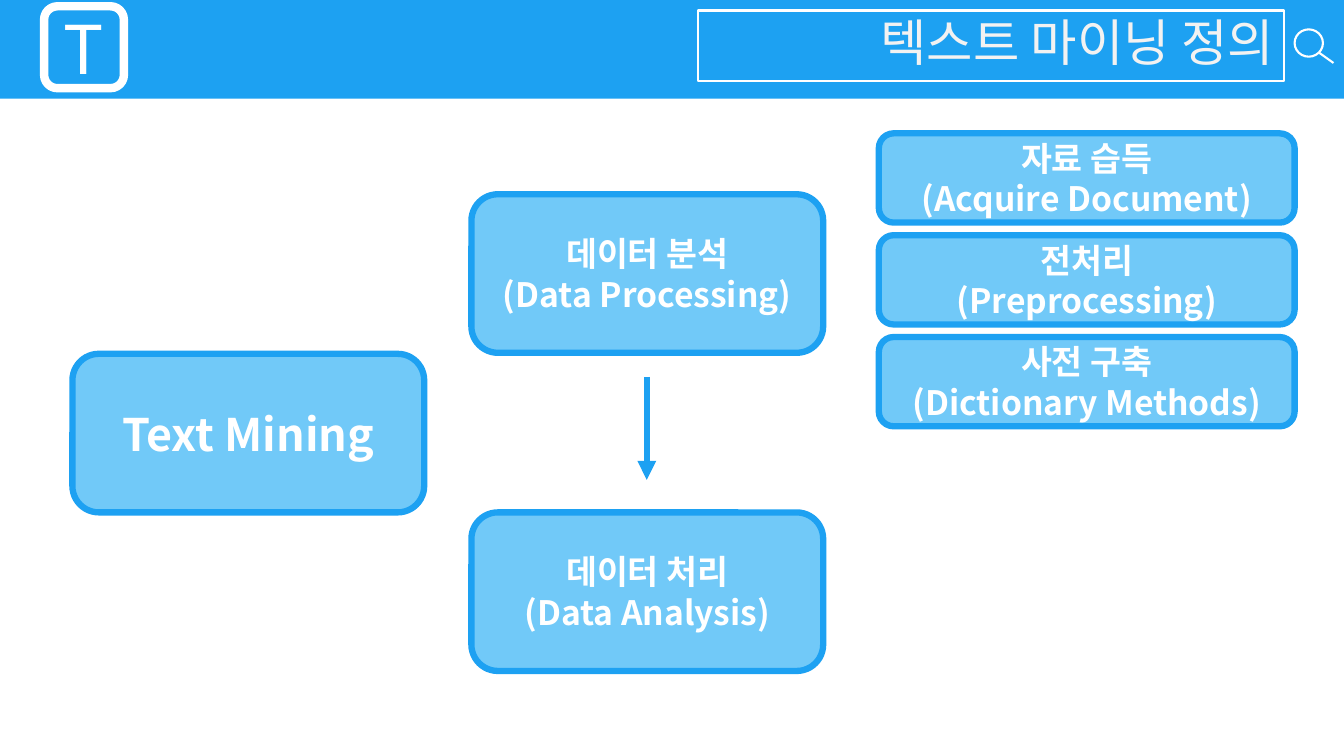
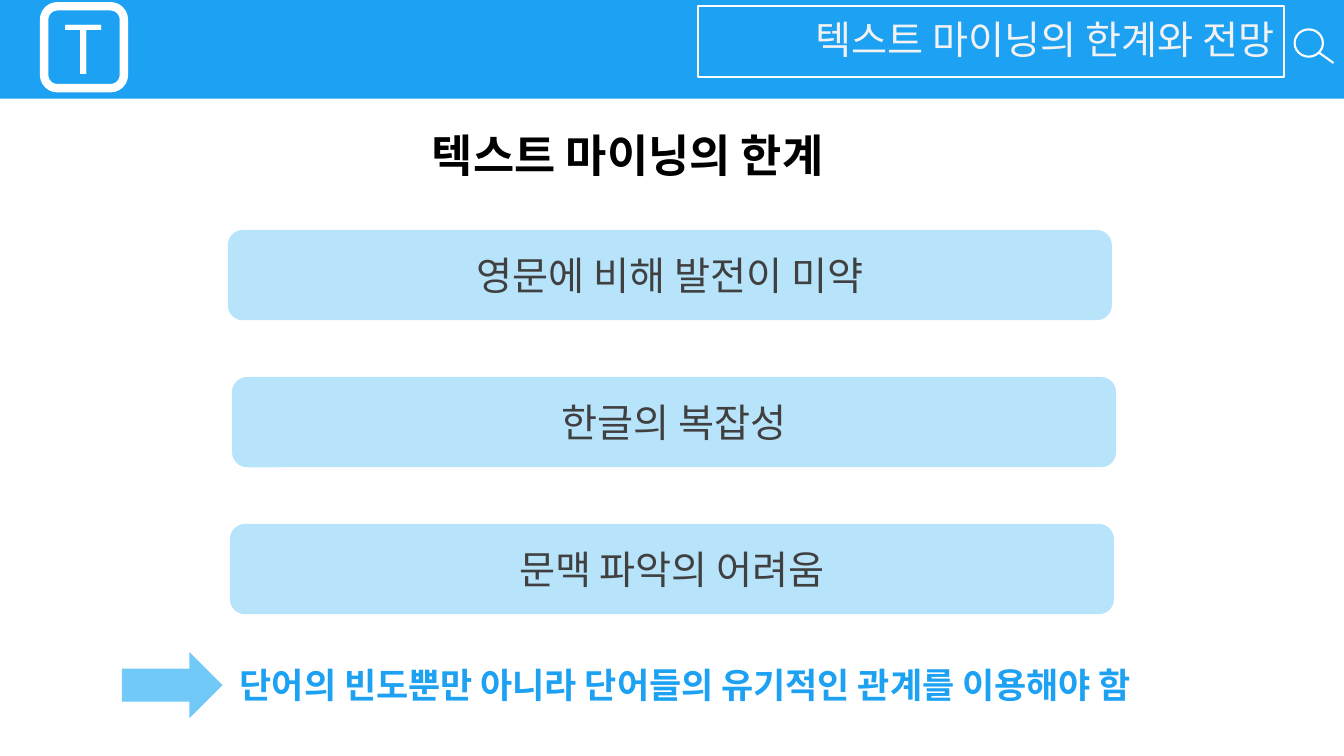
from lxml.etree import SubElement
from pptx import Presentation
from pptx.dml.color import RGBColor
from pptx.enum.shapes import MSO_CONNECTOR, MSO_SHAPE
from pptx.enum.text import MSO_ANCHOR, MSO_AUTO_SIZE, PP_ALIGN
from pptx.oxml.ns import qn
from pptx.util import Emu, Pt

EMU_PER_PX = 9525
SLIDE_WIDTH, SLIDE_HEIGHT = 1280, 720
COLORS = {
    "blue": "1DA1F2",
    "sky": "71C9F8",
    "white": "FFFFFF",
    "title": "F2F2F2",
    "dark": "404040",
    "black": "000000",
}
FONT = "Noto Sans CJK KR"
BADGE_FONT = "Noto Sans CJK JP"
TITLE_ONLY = 5


def px(*lengths):
    return [Emu(length * EMU_PER_PX) for length in lengths]


def rgb(name):
    return RGBColor.from_string(COLORS[name])


# Text and lines
def write(frame, text, size, color, bold=False, align=PP_ALIGN.CENTER, font=FONT, spacing=None):
    frame.text = text
    for para in frame.paragraphs:
        para.alignment = align
        para.line_spacing = spacing
        for span in para.runs:
            span.font.size = Pt(size)
            span.font.bold = bold
            span.font.color.rgb = rgb(color)
            span.font.name = font
            properties = span.font._element
            SubElement(properties, qn("a:ea")).set("typeface", font)


def set_line(line, color, width):
    line.color.rgb = rgb(color)
    line.width = Pt(width)


# Kinds of element
def add_box(shapes, kind, place, fill=None, line=None, opacity=100):
    box = shapes.add_shape(kind, *px(*place))
    box.shadow.inherit = False
    if fill:
        box.fill.solid()
        box.fill.fore_color.rgb = rgb(fill)
        if opacity < 100:
            color = box.element.spPr.find(".//" + qn("a:srgbClr"))
            SubElement(color, qn("a:alpha")).set("val", str(opacity * 1000))
    else:
        box.fill.background()
    if line:
        set_line(box.line, *line)
    else:
        box.line.fill.background()
    box.text_frame.vertical_anchor = MSO_ANCHOR.MIDDLE
    return box


def add_line(shapes, start, end, color, width, arrow=False):
    connector = shapes.add_connector(MSO_CONNECTOR.STRAIGHT, *px(*start, *end))
    set_line(connector.line, color, width)
    properties = connector.element.spPr
    if arrow:
        SubElement(properties.find(qn("a:ln")), qn("a:tailEnd")).set("type", "triangle")
    SubElement(properties, qn("a:effectLst"))
    return connector


def add_label(slide, place, text, size, color, wrap=True):
    label = slide.shapes.add_textbox(*px(*place))
    label.text_frame.word_wrap = wrap
    write(label.text_frame, text, size, color, bold=True, align=PP_ALIGN.LEFT)


def add_node(slide, place, text, size=24):
    node = add_box(slide.shapes, MSO_SHAPE.ROUNDED_RECTANGLE, place, "sky", ("blue", 4.5))
    write(node.text_frame, text, size, "white", bold=True)


# Shared header, kept on the layout
def build_header(slide, layout):
    for placeholder in list(layout.placeholders)[1:]:
        layout.shapes.element.remove(placeholder.element)

    band = add_box(slide.shapes, MSO_SHAPE.RECTANGLE, (0, 0, SLIDE_WIDTH, 94), "blue")
    magnifier = slide.shapes.add_group_shape()
    add_box(magnifier.shapes, MSO_SHAPE.OVAL, (1233, 28, 27, 26), line=("white", 1.5))
    add_line(magnifier.shapes, (1256, 50), (1270, 60), "white", 1.5)
    badge = add_box(slide.shapes, MSO_SHAPE.ROUNDED_RECTANGLE, (42, 6, 76, 78), line=("white", 6))
    write(badge.text_frame, "T", 48, "white", font=BADGE_FONT)

    for part in (band, magnifier, badge):
        layout.shapes.element.append(part.element)


def set_title(slide, text, size, top):
    title = slide.shapes.title
    title.left, title.top, title.width, title.height = px(665, top, 558, 67)
    set_line(title.line, "white", 1.5)
    title.text_frame.vertical_anchor = MSO_ANCHOR.MIDDLE
    title.text_frame.auto_size = MSO_AUTO_SIZE.NONE
    write(title.text_frame, text, size, "title", align=PP_ALIGN.RIGHT, spacing=0.9)


# Slides
def build_definition(slide):
    set_title(slide, "텍스트 마이닝 정의", 36, top=10)

    node_size = (335, 151)
    add_node(slide, (69, 337, *node_size), "Text Mining", 32)
    add_node(slide, (449, 185, *node_size), "데이터 분석\n(Data Processing)")
    add_node(slide, (449, 488, *node_size), "데이터 처리\n(Data Analysis)")

    steps = [
        "자료 습득\n(Acquire Document)",
        "전처리\n(Preprocessing)",
        "사전 구축\n(Dictionary Methods)",
    ]
    for index, step in enumerate(steps):
        add_node(slide, (837, 127 + 97 * index, 396, 85), step)

    add_line(slide.shapes, (616, 359), (616, 457), "blue", 4.5, arrow=True)


def build_limits(slide):
    set_title(slide, "텍스트 마이닝의 한계와 전망", 28, top=6)
    add_label(slide, (402, 117, 459, 61), "텍스트 마이닝의 한계", 32, "black")

    limits = [
        (217, "영문에 비해 발전이 미약"),
        (221, "한글의 복잡성"),
        (219, "문맥 파악의 어려움"),
    ]
    for index, (left, limit) in enumerate(limits):
        place = (left, 219 + 140 * index, 842, 86)
        bar = add_box(slide.shapes, MSO_SHAPE.FLOWCHART_ALTERNATE_PROCESS, place, "sky", opacity=50)
        write(bar.text_frame, limit, 28, "dark")

    add_box(slide.shapes, MSO_SHAPE.RIGHT_ARROW, (116, 621, 96, 63), "sky")
    conclusion = "단어의 빈도뿐만 아니라 단어들의 유기적인 관계를 이용해야 함"
    add_label(slide, (219, 627, 908, 50), conclusion, 25, "blue", wrap=False)


def main():
    deck = Presentation()
    deck.slide_width, deck.slide_height = px(SLIDE_WIDTH, SLIDE_HEIGHT)
    layout = deck.slide_layouts[TITLE_ONLY]
    pages = [deck.slides.add_slide(layout) for _ in range(2)]
    build_header(pages[0], layout)
    build_definition(pages[0])
    build_limits(pages[1])
    deck.save("out.pptx")


if __name__ == "__main__":
    main()
